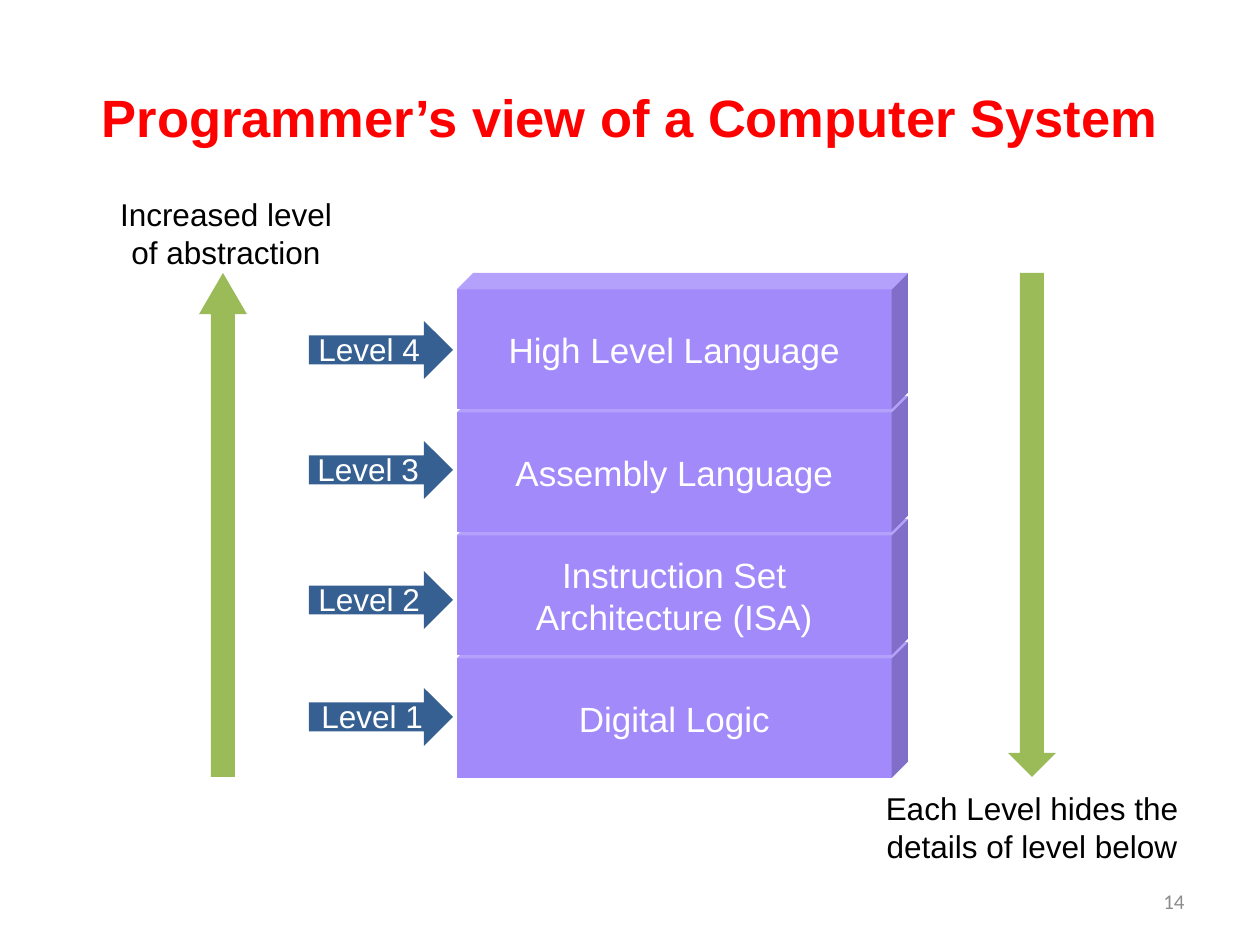
from dataclasses import dataclass

from pptx import Presentation
from pptx import util as u
from pptx.dml.color import RGBColor
from pptx.enum import shapes, text

EMU_PER_PX = 914400 / 126
SHAPE = shapes.MSO_SHAPE
ALIGN = text.PP_ALIGN
ANCHOR = text.MSO_ANCHOR


@dataclass(frozen=True)
class Theme:
    font: str = "Arial"
    number_font: str = "Calibri"
    title_color: str = "FF0000"
    ink: str = "000000"
    light: str = "FFFFFF"
    muted: str = "8C8C8C"
    layer: str = "A28AFA"
    level: str = "376092"
    direction: str = "9BBB59"
    title_size: int = 30
    layer_size: int = 20
    label_size: int = 18
    number_size: int = 12


THEME = Theme()

# Layer name, top of its level arrow, left of its level label
LAYERS = [
    ("High Level Language", 321, 306),
    ("Assembly Language", 441, 305),
    ("Instruction Set Architecture (ISA)", 571, 306),
    ("Digital Logic", 688, 309),
]
STACK_TOP, STACK_HEIGHT, LAYER_STEP = 273, 504, 123


def px(*lengths):
    return [u.Emu(round(length * EMU_PER_PX)) for length in lengths]


def write(shape, words, size, color, align=ALIGN.CENTER, name=THEME.font, bold=False):
    paragraph = shape.text_frame.paragraphs[0]
    paragraph.alignment = align
    run = paragraph.add_run()
    run.text = words
    for attribute, value in {"name": name, "size": u.Pt(size), "bold": bold}.items():
        setattr(run.font, attribute, value)
    run.font.color.rgb = RGBColor.from_string(color)


def set_frame(shape, **values):
    for attribute, value in values.items():
        setattr(shape.text_frame, attribute, value)


def add_title(slide, words):
    title = slide.shapes.title
    title.left, title.top, title.width, title.height = px(63, 38, 1134, 158)
    set_frame(title, vertical_anchor=ANCHOR.MIDDLE)
    write(title, words, THEME.title_size, THEME.title_color, bold=True)


def add_solid(slide, kind, box, color, adjustments=()):
    """Add a preset shape with a plain fill, no outline and no shadow."""
    shape = slide.shapes.add_shape(kind, *px(*box))
    shape.shadow.inherit = False
    shape.fill.solid()
    shape.fill.fore_color.rgb = RGBColor.from_string(color)
    shape.line.fill.background()
    for index, value in enumerate(adjustments):
        shape.adjustments[index] = value
    return shape


def add_label(slide, box, words, color=THEME.ink, align=ALIGN.CENTER, wrap=True):
    label = slide.shapes.add_textbox(*px(*box))
    set_frame(label, word_wrap=wrap, auto_size=text.MSO_AUTO_SIZE.SHAPE_TO_FIT_TEXT)
    write(label, words, THEME.label_size, color, align)


def add_layer(slide, index, words):
    box = (457, STACK_TOP + index * LAYER_STEP, 451, 136)
    cube = add_solid(slide, SHAPE.CUBE, box, THEME.layer, [0.12])
    set_frame(cube, vertical_anchor=ANCHOR.MIDDLE)
    write(cube, words, THEME.layer_size, THEME.light)


def add_level(slide, number, top, label_left):
    add_solid(slide, SHAPE.RIGHT_ARROW, (309, top, 144, 58), THEME.level)
    add_label(slide, (label_left, top + 3, 129, 50), f"Level {number}",
              THEME.light, ALIGN.LEFT, wrap=False)


def add_page_number(slide, number):
    box = slide.shapes.add_textbox(*px(903, 876, 294, 50))
    set_frame(box, word_wrap=True, vertical_anchor=ANCHOR.MIDDLE)
    write(box, number, THEME.number_size, THEME.muted, ALIGN.RIGHT, THEME.number_font)


def main():
    presentation = Presentation()
    presentation.slide_width, presentation.slide_height = px(1260, 945)
    slide = presentation.slides.add_slide(presentation.slide_layouts[5])

    add_title(slide, "Programmer’s view of a Computer System")
    # Lower layers go first so that each cube covers the top of the one below
    for index, (words, arrow_top, label_left) in reversed(list(enumerate(LAYERS))):
        add_layer(slide, index, words)
        add_level(slide, len(LAYERS) - index, arrow_top, label_left)

    add_solid(slide, SHAPE.UP_ARROW, (199, STACK_TOP, 48, STACK_HEIGHT),
              THEME.direction, [0.5, 0.86])
    add_solid(slide, SHAPE.DOWN_ARROW, (1008, STACK_TOP, 48, STACK_HEIGHT),
              THEME.direction)
    add_label(slide, (105, 189, 242, 89), "Increased level of abstraction")
    add_label(slide, (864, 783, 336, 89), "Each Level hides the details of level below")
    add_page_number(slide, "14")

    presentation.save("out.pptx")


if __name__ == "__main__":
    main()
